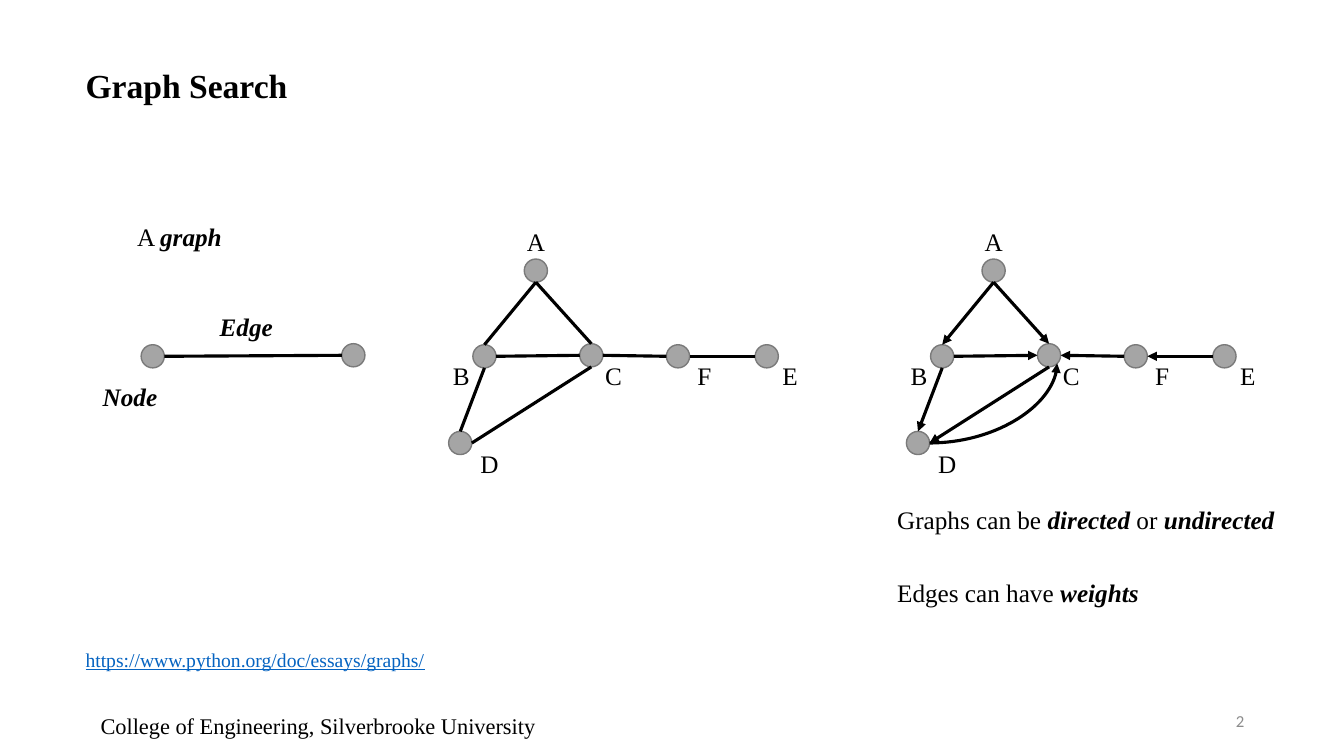
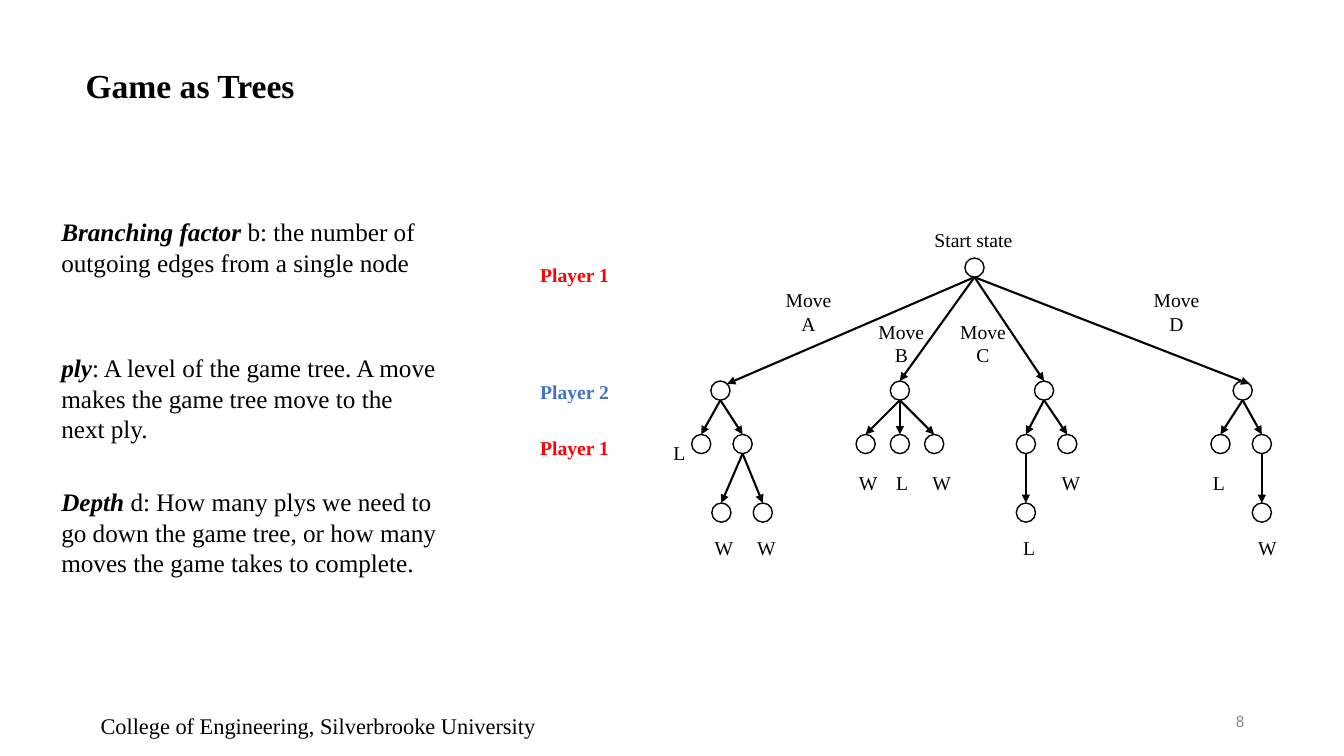
from lxml.etree import SubElement
from pptx import Presentation
from pptx.dml.color import RGBColor
from pptx.enum.shapes import MSO_CONNECTOR, MSO_SHAPE
from pptx.enum.text import MSO_ANCHOR, PP_ALIGN
from pptx.oxml.ns import qn
from pptx.util import Inches, Pt

COLORS = {
    "text": "000000", "line": "000000", "number": "8C8C8C", "address": "0563C1",
    "gray": "A5A5A5", "outline": "7A7A7A", "white": "FFFFFF",
    "player 1": "FF0000", "player 2": "4472C4",
}
FOOTER = "College of Engineering, Silverbrooke University"
# Points on a node, as shares of its size
ANCHORS = {
    "top": (0.5, 0), "left": (0, 0.5), "bottom": (0.5, 1), "right": (1, 0.5),
    "top right": (0.85, 0.15), "bottom right": (0.85, 0.85),
}


def color(name):
    return RGBColor.from_string(COLORS[name])


class Deck:
    """Holds the style, the presentation and the current slide."""

    font = "Times New Roman"

    def __init__(self):
        self.presentation = Presentation()
        self.presentation.slide_width = Inches(13.33)
        self.presentation.slide_height = Inches(7.5)
        self.slide = None

    def new_slide(self, title, number):
        layout = self.presentation.slide_layouts[6]
        self.slide = self.presentation.slides.add_slide(layout)
        self.text(FOOTER, 0.75, 7.02, 4.81, 0.37, size=16, align="center", wrap=False)
        self.text(number, 9.44, 6.95, 3, 0.4, size=12, align="right", fill="number",
                  font="Calibri", anchor=MSO_ANCHOR.MIDDLE)
        self.text(title, 0.75, 0.59, 2.3, 0.5, size=24, bold=True, wrap=False)

    def text(self, text, left, top, width, height, size=18, align="left", fill="text",
             bold=False, underline=False, wrap=True, font=None, anchor=MSO_ANCHOR.TOP):
        """Add text; parts between asterisks are bold italic."""
        box = self.slide.shapes.add_textbox(
            Inches(left), Inches(top), Inches(width), Inches(height))
        frame = box.text_frame
        frame.word_wrap = wrap
        frame.vertical_anchor = anchor
        frame.text = text.replace("*", "")
        for paragraph, line in zip(frame.paragraphs, text.split("\n")):
            paragraph.alignment = getattr(PP_ALIGN, align.upper())
            paragraph.clear()
            for index, part in enumerate(line.split("*")):
                if not part:
                    continue
                emphasis = index % 2 == 1
                run = paragraph.add_run()
                run.text = part
                run.font.name = font or self.font
                run.font.size = Pt(size)
                run.font.bold = bold or emphasis
                run.font.italic = emphasis
                run.font.underline = underline
                run.font.color.rgb = color(fill)

    def node(self, left, top, size, fill, line):
        """Draw a round node and return its box for the edges."""
        shape = self.slide.shapes.add_shape(
            MSO_SHAPE.OVAL, Inches(left), Inches(top), Inches(size), Inches(size))
        shape.shadow.inherit = False
        shape.fill.solid()
        shape.fill.fore_color.rgb = color(fill)
        shape.line.color.rgb = color(line)
        shape.line.width = Pt(1)
        return left, top, size

    def edge(self, start, start_side, end, end_side, width=2.25, arrow=False, curved=False):
        """Join two nodes at the named points."""
        points = []
        for (left, top, size), side in ((start, start_side), (end, end_side)):
            across, down = ANCHORS[side]
            points += [Inches(left + across * size), Inches(top + down * size)]
        kind = MSO_CONNECTOR.CURVE if curved else MSO_CONNECTOR.STRAIGHT
        connector = self.slide.shapes.add_connector(kind, *points)
        connector.line.color.rgb = color("line")
        connector.line.width = Pt(width)
        properties = connector._element.spPr
        if curved:
            properties.find(qn("a:prstGeom")).set("prst", "curvedConnector2")
        if arrow:
            SubElement(properties.find(qn("a:ln")), qn("a:tailEnd"), type="triangle")
        SubElement(properties, qn("a:effectLst"))

    def graph(self, nodes, edges, shift=0, directed=False):
        """Draw labelled nodes and the edges between them."""
        drawn = {}
        for name, (left, top, label_x, label_y) in nodes.items():
            drawn[name] = self.node(left + shift, top, 0.23, "gray", "outline")
            self.text(name, left + shift + label_x, top + label_y, 0.39, 0.4, align="center")
        for start, start_side, end, end_side in edges:
            self.edge(drawn[start], start_side, drawn[end], end_side, arrow=directed)
        return drawn

    def tree(self, nodes):
        """Draw white nodes, each with an arrow from its parent."""
        drawn = {}
        for name, (left, top, parent, side) in nodes.items():
            drawn[name] = self.node(left, top, 0.19, "white", "line")
            if parent:
                self.edge(drawn[parent], "bottom", drawn[name], side, width=1.5, arrow=True)


def add_graph_search(deck):
    deck.new_slide("Graph Search", "2")

    # One edge between two nodes
    first = deck.node(1.4, 3.42, 0.23, "gray", "outline")
    second = deck.node(3.39, 3.41, 0.23, "gray", "outline")
    deck.edge(second, "left", first, "right")
    deck.text("A *graph*", 1.2, 2.15, 1.16, 0.4, align="center")
    deck.text("*Edge*", 2.08, 3.04, 0.85, 0.4)
    deck.text("*Node*", 0.92, 3.73, 0.85, 0.4)

    # Node: left, top, label offset
    nodes = {
        "A": (5.2, 2.57, -0.08, -0.37),
        "B": (4.69, 3.42, -0.31, 0.11),
        "C": (5.75, 3.41, 0.14, 0.12),
        "D": (4.45, 4.28, 0.21, 0.12),
        "F": (6.61, 3.42, 0.18, 0.11),
        "E": (7.49, 3.42, 0.15, 0.11),
    }
    edges = [
        ("A", "bottom", "B", "top"), ("A", "bottom", "C", "top"),
        ("B", "right", "C", "left"), ("B", "bottom", "D", "top"),
        ("C", "bottom", "D", "right"), ("F", "left", "C", "right"),
        ("E", "left", "F", "right"),
    ]
    # Undirected and directed graph
    deck.graph(nodes, edges)
    directed = deck.graph(nodes, edges, shift=4.54, directed=True)
    deck.edge(directed["D"], "right", directed["C"], "bottom right", arrow=True, curved=True)

    # Remarks and address
    deck.text("Graphs can be *directed* or *undirected*", 8.8, 4.95, 3.96, 0.4)
    deck.text("Edges can have *weights*", 8.8, 5.68, 3.96, 0.4)
    deck.text("https://www.python.org/doc/essays/graphs/", 0.75, 6.38, 5.65, 0.34,
              size=14, fill="address", underline=True)


def add_game_trees(deck):
    deck.new_slide("Game as Trees", "8")

    # Definitions
    definitions = [
        (2.1, 0.71, "*Branching factor *b: the number of outgoing edges from a single node"),
        (3.45, 1.01, "*ply*: A level of the game tree. A move makes the game tree move "
                     "to the next ply."),
        (4.78, 1.01, "*Depth *d: How many plys we need to go down the game tree, "
                     "or how many moves the game takes to complete."),
    ]
    for top, height, definition in definitions:
        deck.text(definition, 0.51, top, 3.93, height)

    # Players by level
    for top, player in ((2.56, 1), (3.72, 2), (4.28, 1)):
        deck.text(f"Player {player}", 5.13, top, 1.14, 0.34, size=14, align="center",
                  fill=f"player {player}", bold=True)

    # Game tree: left, top, parent, side reached by the arrow
    start, moves, replies, last = 2.56, 3.78, 4.31, 4.99
    deck.tree({
        "start": (9.57, start, None, None),
        "A": (7.05, moves, "start", "top right"),
        "B": (8.83, moves, "start", "top"),
        "C": (10.26, moves, "start", "top"),
        "D": (12.23, moves, "start", "top right"),
        "A1": (6.86, replies, "A", "top"),
        "A2": (7.27, replies, "A", "top"),
        "B1": (8.49, replies, "B", "top"),
        "B2": (8.83, replies, "B", "top"),
        "B3": (9.17, replies, "B", "top"),
        "C1": (10.08, replies, "C", "top"),
        "C2": (10.49, replies, "C", "top"),
        "D1": (12.01, replies, "D", "top"),
        "D2": (12.42, replies, "D", "top"),
        "A2 left": (7.06, last, "A2", "top"),
        "A2 right": (7.47, last, "A2", "top"),
        "C1 next": (10.08, last, "C1", "top"),
        "D2 next": (12.42, last, "D2", "top"),
    })

    # Move names
    deck.text("Start state", 9.02, 2.21, 1.27, 0.34, size=14, align="center")
    for move, left, top in (("A", 7.65, 2.81), ("B", 8.57, 3.12),
                            ("C", 9.38, 3.12), ("D", 11.3, 2.81)):
        deck.text(f"Move\n{move}", left, top, 0.74, 0.57, size=14, align="center")

    # Wins and losses, row by row
    results = {
        4.33: [("L", 6.58)],
        4.62: [("W", 8.42), ("L", 8.79), ("W", 9.15), ("W", 10.43), ("L", 11.93)],
        5.27: [("W", 6.99), ("W", 7.41), ("L", 10.05), ("W", 12.38)],
    }
    for top, row in results.items():
        for result, left in row:
            deck.text(result, left, top, 0.31, 0.34, size=14, align="center")


def main():
    deck = Deck()
    add_graph_search(deck)
    add_game_trees(deck)
    deck.presentation.save("out.pptx")


if __name__ == "__main__":
    main()
